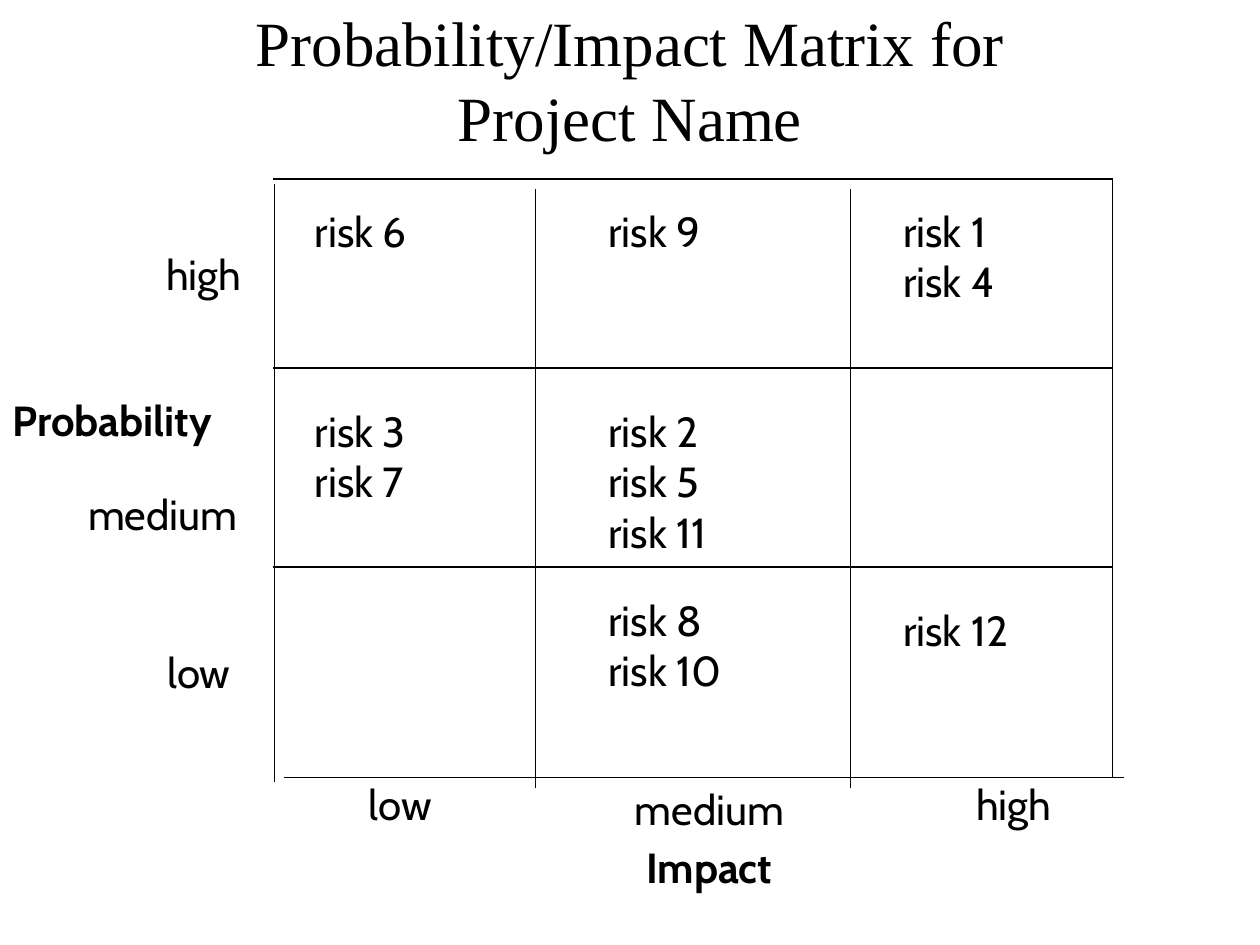
from lxml import etree
from pptx import Presentation
from pptx.dml.color import RGBColor
from pptx.enum.shapes import MSO_CONNECTOR
from pptx.enum.text import MSO_ANCHOR, MSO_AUTO_SIZE, PP_ALIGN
from pptx.oxml.ns import qn
from pptx.util import Inches, Pt

STRAIGHT = MSO_CONNECTOR.STRAIGHT
MIDDLE = MSO_ANCHOR.MIDDLE
FIT_TEXT = MSO_AUTO_SIZE.SHAPE_TO_FIT_TEXT
CENTER = PP_ALIGN.CENTER

COLORS = {"ink": "000000", "background": "FFFFFF"}
TITLE_FONT = "Times New Roman"
BODY_FONT = "Cabin"
LINE_HEIGHT = 0.4

GRID_LINES = [
    # horizontal: start x, start y, end x, end y
    (2.17, 1.42, 8.83, 1.42),
    (2.17, 2.92, 8.83, 2.92),
    (2.17, 4.5, 8.83, 4.5),
    (2.25, 6.17, 8.92, 6.17),
    # vertical
    (2.18, 1.46, 2.18, 6.21),
    (4.25, 6.25, 4.25, 1.5),
    (6.75, 6.25, 6.75, 1.5),
    (8.83, 6.17, 8.83, 1.42),
]

LEVEL_WIDTHS = {"low": 0.75, "medium": 1.51, "high": 0.9}
LEVEL_LABELS = [
    # probability: level, left, top
    ("high", 1.22, 1.92),
    ("medium", 0.6, 3.83),
    ("low", 1.23, 5.08),
    # impact
    ("low", 2.83, 6.13),
    ("medium", 4.94, 6.17),
    ("high", 7.65, 6.13),
]

AXIS_TITLES = [
    ("Probability", 0, 3.08, 2.03),
    ("Impact", 5.03, 6.63, 1.38),
]

RISK_COLUMNS = {"low": 2.4, "medium": 4.73, "high": 7.07}
RISKS = [
    # impact, top, risk numbers
    ("low", 1.58, [6]),
    ("medium", 1.58, [9]),
    ("high", 1.58, [1, 4]),
    ("low", 3.17, [3, 7]),
    ("medium", 3.17, [2, 5, 11]),
    ("medium", 4.67, [8, 10]),
    ("high", 4.75, [12]),
]


def color(name):
    return RGBColor.from_string(COLORS[name])


def style_runs(paragraph, font_name, size, bold=False):
    for run in paragraph.runs:
        run.font.name = font_name
        run.font.size = Pt(size)
        run.font.bold = bold
        run.font.color.rgb = color("ink")


def add_title(slide, text):
    text_box = slide.shapes.add_textbox(0, 0, Inches(10), Inches(1.25))
    text_frame = text_box.text_frame
    text_frame.word_wrap = True
    text_frame.vertical_anchor = MIDDLE
    paragraph = text_frame.paragraphs[0]
    paragraph.text = text
    paragraph.alignment = CENTER
    style_runs(paragraph, TITLE_FONT, 36)


def add_label(slide, lines, left, top, width, bold=False):
    """Add a text box with one paragraph per line."""
    height = 0.1 + LINE_HEIGHT * len(lines)
    text_box = slide.shapes.add_textbox(
        Inches(left), Inches(top), Inches(width), Inches(height)
    )
    text_frame = text_box.text_frame
    text_frame.word_wrap = False
    text_frame.auto_size = FIT_TEXT
    text_frame.text = "\n".join(lines)
    for paragraph in text_frame.paragraphs:
        style_runs(paragraph, BODY_FONT, 24, bold)


def add_line(slide, *ends):
    connector = slide.shapes.add_connector(STRAIGHT, *map(Inches, ends))
    connector.line.color.rgb = color("ink")
    connector.line.width = Pt(0.75)
    etree.SubElement(connector._element.spPr, qn("a:effectLst"))


def main():
    presentation = Presentation()
    presentation.slide_width = Inches(10)
    presentation.slide_height = Inches(7.5)
    slide = presentation.slides.add_slide(presentation.slide_layouts[6])
    slide.background.fill.solid()
    slide.background.fill.fore_color.rgb = color("background")

    add_title(slide, "Probability/Impact Matrix for\nProject Name")
    for ends in GRID_LINES:
        add_line(slide, *ends)
    for text, left, top, width in AXIS_TITLES:
        add_label(slide, [text], left, top, width, bold=True)
    for level, left, top in LEVEL_LABELS:
        add_label(slide, [level], left, top, LEVEL_WIDTHS[level])
    for impact, top, numbers in RISKS:
        width = 1.23 if max(numbers) > 9 else 1.04
        lines = [f"risk {number}" for number in numbers]
        add_label(slide, lines, RISK_COLUMNS[impact], top, width)

    presentation.save("out.pptx")


if __name__ == "__main__":
    main()
